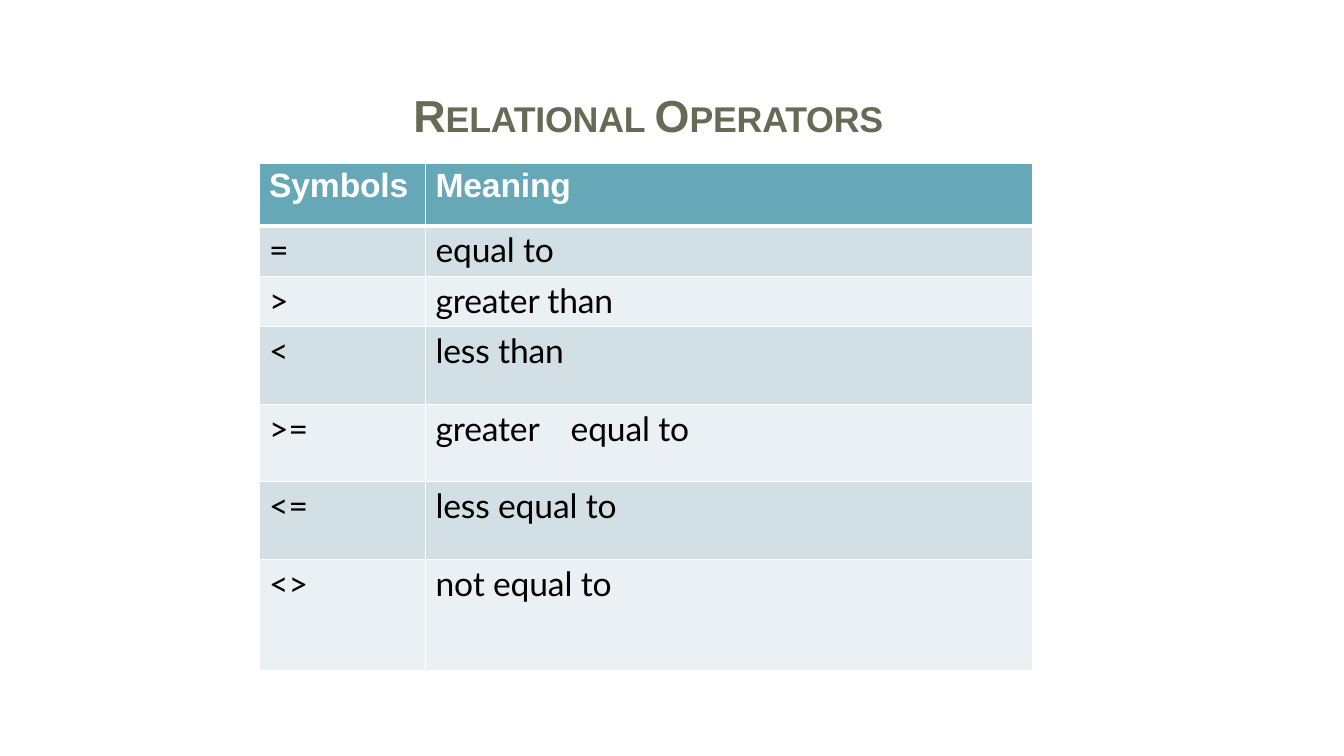
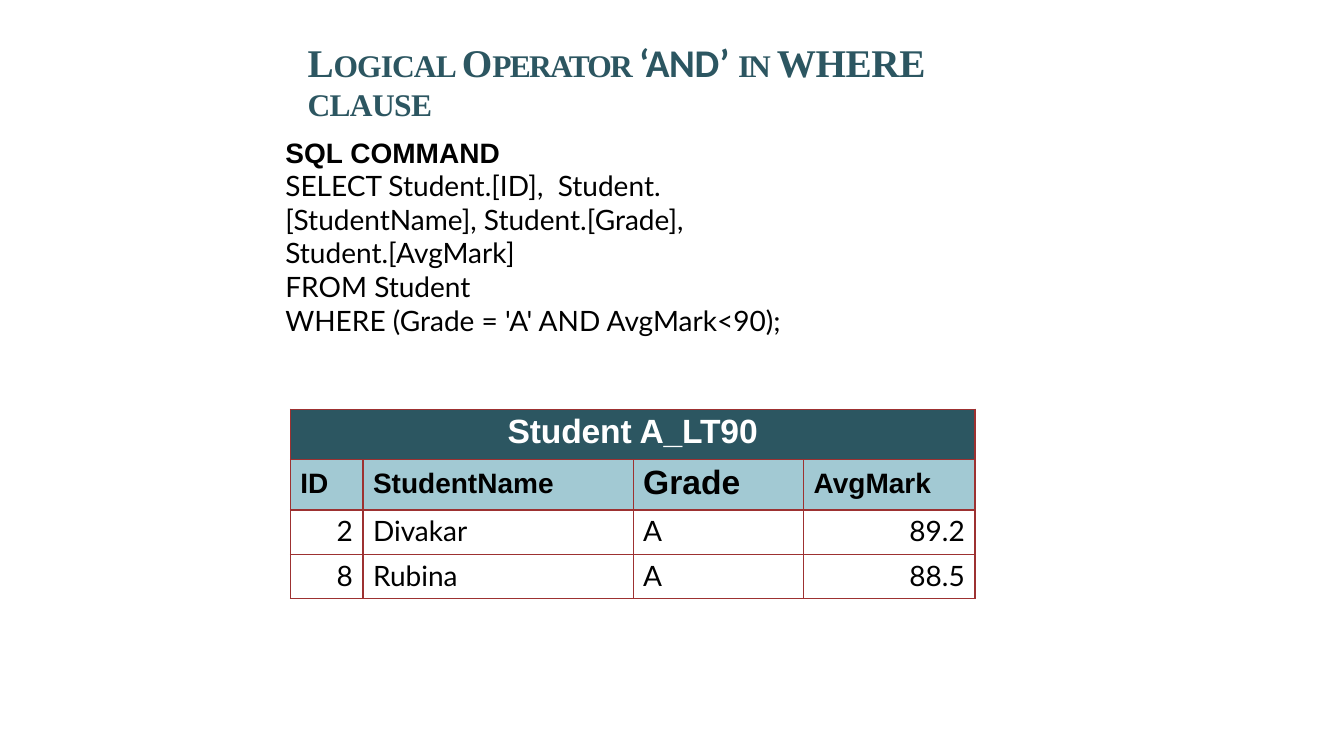
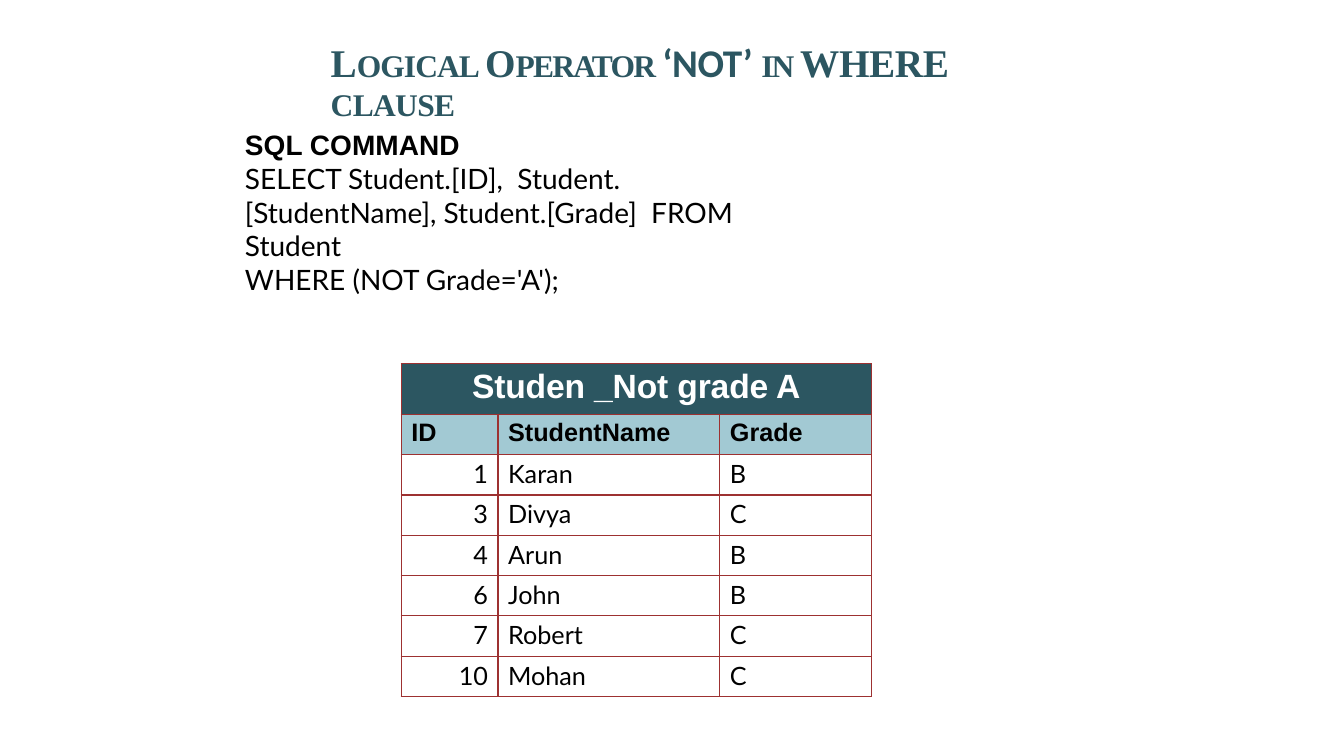
from pptx import Presentation
from pptx.dml.color import RGBColor
from pptx.enum import text
from pptx.util import Inches, Pt
from lxml import etree

COLORS = {"white": "FFFFFF", "black": "000000", "olive": "676A54", "teal": "2C5661",
          "sky": "66A7B8", "band": "D2E0E6", "pale": "EAF0F3",
          "head": "A2C9D3", "red": "9D3131"}
NS = "http://schemas.openxmlformats.org/drawingml/2006/main"
ALIGN = {"l": text.PP_ALIGN.LEFT, "c": text.PP_ALIGN.CENTER, "r": text.PP_ALIGN.RIGHT}


def put(tf, paras, align="l", **base):
    """Fill a text frame; each paragraph is a string or a list of (text, format) runs."""
    for i, runs in enumerate(paras):
        p = tf.paragraphs[0] if i == 0 else tf.add_paragraph()
        p.alignment = ALIGN[align]
        for words, own in [(runs, {})] if isinstance(runs, str) else runs:
            fmt = {"font": "Lato", "size": 20, "color": "black", "bold": False, "spc": 0,
                   **base, **own}
            r = p.add_run()
            r.text = words
            r.font.name = fmt["font"]
            r.font.size = Pt(fmt["size"])
            r.font.bold = fmt["bold"]
            r.font.color.rgb = RGBColor.from_string(COLORS[fmt["color"]])
            if fmt["spc"]:
                r.font._element.set("spc", str(round(fmt["spc"] * 100)))


def style_cell(cell, fill, line, bottom=1, top=1, margin_top=0.04):
    """Set margins, fill and the four borders of a table cell."""
    cell.margin_left = cell.margin_right = Inches(0.1)
    cell.margin_top, cell.margin_bottom = Inches(margin_top), 0
    if fill:
        cell.fill.solid()
        cell.fill.fore_color.rgb = RGBColor.from_string(COLORS[fill])
    else:
        cell.fill.background()
    tcPr = cell._tc.get_or_add_tcPr()
    for i, (side, width) in enumerate(zip("LRTB", (1, 1, top, bottom))):
        ln = etree.Element(f"{{{NS}}}ln{side}", w=str(Pt(width)))
        solid = etree.SubElement(ln, f"{{{NS}}}solidFill")
        etree.SubElement(solid, f"{{{NS}}}srgbClr", val=COLORS[line])
        tcPr.insert(i, ln)


prs = Presentation()
prs.slide_width, prs.slide_height = Inches(13.33), Inches(7.5)
relational, logical_and, logical_not = [prs.slides.add_slide(prs.slide_layouts[6])
                                        for _ in range(3)]

# Titles: large initials with smaller capitals
big, small = {"size": 32}, {"size": 25.5}
texts = [(relational, (4.1, 0.86, 4.76, 0.56),
          [[("R", big), ("ELATIONAL ", small), ("O", big), ("PERATORS", small)]],
          {"font": "Arial", "color": "olive", "bold": True, "spc": -0.2})]

for s, left, width, operator in ((logical_and, 3.05, 7.08, "‘AND’ "),
                                 (logical_not, 3.28, 7.02, "‘NOT’ ")):
    title = [("L", {"size": 28}), ("OGICAL ", {"spc": -0.7}),
             ("O", {"size": 28}), ("PERATOR ", {"spc": -1.3}),
             (operator, {"size": 28, "font": "Calibri", "spc": -0.2}),
             ("IN ", {"spc": -1.5}),
             ("WHERE ", {"size": 28, "spc": -0.25}), ("CLAUSE", {"spc": -0.5})]
    texts.append((s, (left, 0.37, width, 0.49), [title],
                  {"font": "Times New Roman", "size": 22.5, "color": "teal", "bold": True}))

# SQL commands
command = [("SQL COMMAND", {"font": "Arial", "bold": True})]
texts += [
    (logical_and, (2.83, 1.33, 5.09, 2.03),
     [command,
      "SELECT Student.[ID],  Student.[StudentName], Student.[Grade],  Student.[AvgMark]",
      "FROM Student", "WHERE (Grade = 'A' AND AvgMark<90);"], {}),
    (logical_not, (2.43, 1.26, 5.02, 1.7),
     [command,
      "SELECT Student.[ID],  Student.[StudentName], Student.[Grade]  FROM Student",
      "WHERE (NOT Grade='A');"], {})]

for s, at, paras, fmt in texts:
    tf = s.shapes.add_textbox(*map(Inches, at)).text_frame
    tf.word_wrap = True
    tf.margin_left = tf.margin_right = tf.margin_bottom = 0
    tf.margin_top = Inches(0.01)
    put(tf, paras, **fmt)

# Tables
operators = [("Symbols", "Meaning"), ("=", "equal to"), (">", "greater than"),
             ("<", "less than"), (">=", "greater\tequal to"), ("<=", "less equal to"),
             ("<>", "not equal to")]
below_90 = [("Student A_LT90",), ("ID", "StudentName", "Grade", "AvgMark"),
            ("2", "Divakar", "A", "89.2"), ("8", "Rubina", "A", "88.5")]
not_a = [("Studen _Not grade A",), ("ID", "StudentName", "Grade"),
         ("1", "Karan", "B"), ("3", "Divya", "C"), ("4", "Arun", "B"),
         ("6", "John", "B"), ("7", "Robert", "C"), ("10", "Mohan", "C")]
tables = []
for s, left, top, cols, heights, rows in (
        (relational, 2.57, 1.62, (1.65, 6.02), (0.62, 0.5, 0.5, 0.77, 0.77, 0.77, 1.1), operators),
        (logical_and, 2.88, 4.06, (0.72, 2.68, 1.69, 1.7), (0.5, 0.5, 0.44, 0.44), below_90),
        (logical_not, 3.98, 3.61, (0.96, 2.2, 1.5), (0.5,) + (0.4,) * 7, not_a)):
    tbl = s.shapes.add_table(len(rows), len(cols), Inches(left), Inches(top),
                             Inches(sum(cols)), Inches(sum(heights))).table
    tbl.first_row = tbl.horz_banding = False
    for col, width in zip(tbl.columns, cols):
        col.width = Inches(width)
    for row, height in zip(tbl.rows, heights):
        row.height = Inches(height)
    tables.append(tbl)
operator_table, below_90_table, not_a_table = tables

# Relational operators: header and banded rows
for i, row in enumerate(operators):
    for j, words in enumerate(row):
        cell = operator_table.cell(i, j)
        fill = "sky" if i == 0 else "band" if i % 2 else "pale"
        style_cell(cell, fill, "white", bottom=1 if i else 3, top=3 if i == 1 else 1)
        if "\t" in words:
            pPr = cell.text_frame.paragraphs[0]._p.get_or_add_pPr()
            tabs = etree.SubElement(pPr, f"{{{NS}}}tabLst")
            etree.SubElement(tabs, f"{{{NS}}}tab", pos=str(Inches(1.34)), algn="l")
        look = {} if i else {"font": "Arial", "color": "white", "bold": True}
        put(cell.text_frame, [words], size=24, spc=-0.1, **look)

# Query results: merged title row, header row, data rows
for tbl, rows, head_size, body_size in ((below_90_table, below_90, 20, 20),
                                        (not_a_table, not_a, 18, 18)):
    last = len(tbl.columns) - 1
    for i, row in enumerate(rows):
        for j in range(last + 1):
            large_head = i == 1 and head_size == 20 and row[j] == "Grade"
            low = i == 1 and head_size == 20 and not large_head
            style_cell(tbl.cell(i, j), ("teal", "head")[i] if i < 2 else None, "red",
                       margin_top=0.08 if low else 0.04)
            if j >= len(row):
                continue
            if i == 0:
                look = {"font": "Arial", "size": 24, "color": "white", "bold": True,
                        "align": "c", "spc": -0.1}
            elif i == 1:
                look = {"font": "Arial", "size": 24 if large_head else head_size, "bold": True}
            else:
                look = {"size": body_size, "align": "r" if row[j][0].isdigit() else "l"}
            put(tbl.cell(i, j).text_frame, [row[j]], **look)
    tbl.cell(0, 0).merge(tbl.cell(0, last))

prs.save("out.pptx")
